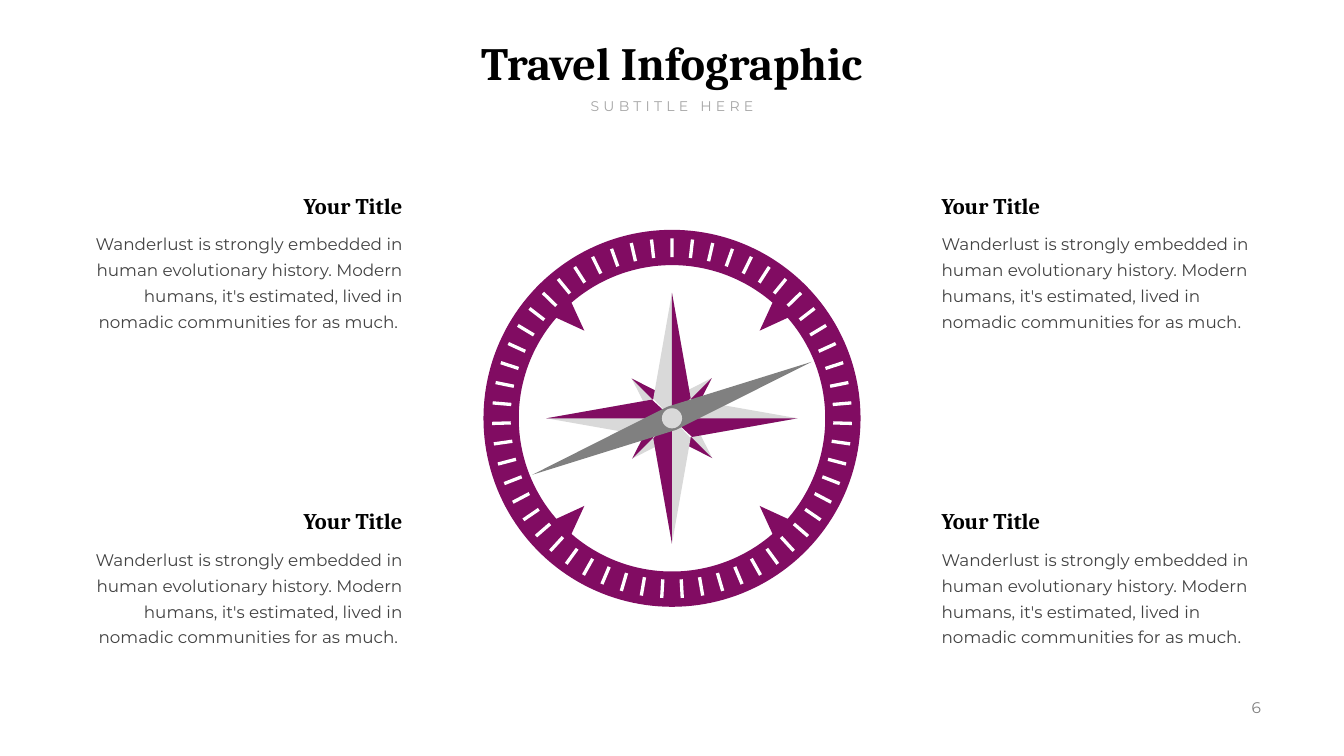
from math import cos, radians, sin

from pptx import Presentation
from pptx.dml.color import RGBColor
from pptx.enum.shapes import MSO_SHAPE
from pptx.enum.text import MSO_ANCHOR, MSO_AUTO_SIZE, PP_ALIGN
from pptx.util import Pt

SCALE = 9144
OVAL = MSO_SHAPE.OVAL
TOP, MIDDLE = MSO_ANCHOR.TOP, MSO_ANCHOR.MIDDLE
LEFT, CENTER, RIGHT = PP_ALIGN.LEFT, PP_ALIGN.CENTER, PP_ALIGN.RIGHT
FIXED_SIZE = MSO_AUTO_SIZE.NONE

PURPLE, SILVER, GRAY = "810C62", "D9D9D9", "808080"
WHITE, BLACK, BODY_GRAY, SUBTITLE_GRAY = "FFFFFF", "000000", "424242", "A6A6A6"
HEADING_FONT, BODY_FONT = "Cambria", "Montserrat"

CENTER_X, CENTER_Y = 1333, 830
RING_OUTER, RING_INNER, POINTER_TIP = 374, 304, 246
TICK_COUNT, TICK_INNER, TICK_OUTER, TICK_HALF_WIDTH = 55, 320, 357, 3.3
QUARTERS = (0, 90, 180, 270)

HEADING = "Your Title"
DESCRIPTION = (
    "Wanderlust is strongly embedded in human evolutionary history. "
    "Modern humans, it's estimated, lived in nomadic communities for as much. "
)


def px(length):
    return round(length * SCALE)


def color(hex_value):
    return RGBColor.from_string(hex_value)


def polar(radius, angle):
    return radius * cos(radians(angle)), radius * sin(radians(angle))


def rotate(points, angle):
    c, s = cos(radians(angle)), sin(radians(angle))
    return [(x * c - y * s, x * s + y * c) for x, y in points]


class CompassSlide:
    def __init__(self, presentation):
        self.slide = presentation.slides.add_slide(presentation.slide_layouts[0])
        self.shapes = self.slide.shapes

    def paint(self, shape, fill):
        shape.shadow.inherit = False
        shape.fill.solid()
        shape.fill.fore_color.rgb = color(fill)
        shape.line.fill.background()

    def outline(self, contours, fill):
        placed = [
            [(px(CENTER_X + x), px(CENTER_Y + y)) for x, y in contour]
            for contour in contours
        ]
        builder = self.shapes.build_freeform(*placed[0][0])
        for index, contour in enumerate(placed):
            if index:
                builder.move_to(*contour[0])
            builder.add_line_segments(contour[1:], close=True)
        self.paint(builder.convert_to_shape(), fill)

    def disc(self, radius, fill):
        hub = self.shapes.add_shape(
            OVAL, px(CENTER_X - radius), px(CENTER_Y - radius), px(2 * radius), px(2 * radius)
        )
        self.paint(hub, fill)

    def set_words(self, shape, words, size, font, ink, align, anchor=TOP,
                  bold=False, leading=None, tracking=None):
        frame = shape.text_frame
        frame.text = words
        frame.word_wrap = True
        frame.auto_size = FIXED_SIZE
        frame.vertical_anchor = anchor
        paragraph = frame.paragraphs[0]
        paragraph.alignment = align
        paragraph.space_before = Pt(0)
        if leading:
            paragraph.line_spacing = Pt(leading)
        run = paragraph.runs[0]
        run.font.size = Pt(size)
        run.font.name = font
        run.font.bold = bold
        run.font.color.rgb = color(ink)
        if tracking:
            run._r.get_or_add_rPr().set("spc", str(tracking * 100))

    def text(self, box, words, size, font, ink, align, **style):
        shape = self.shapes.add_textbox(*map(px, box))
        self.set_words(shape, words, size, font, ink, align, **style)

    def placeholder(self, index, box, words, size, font, ink, align, **style):
        shape = self.slide.placeholders[index]
        shape.left, shape.top, shape.width, shape.height = map(px, box)
        self.set_words(shape, words, size, font, ink, align, **style)


def draw_compass(page):
    rim = [polar(RING_OUTER, angle) for angle in range(0, 360, 2)]
    opening = []
    for quarter in QUARTERS:
        opening.append(polar(POINTER_TIP, quarter + 45))
        opening += [polar(RING_INNER, quarter + step) for step in range(49, 132, 2)]
    page.outline([rim, opening], PURPLE)

    tick = [
        (-TICK_HALF_WIDTH, -TICK_OUTER), (TICK_HALF_WIDTH, -TICK_OUTER),
        (TICK_HALF_WIDTH, -TICK_INNER), (-TICK_HALF_WIDTH, -TICK_INNER),
    ]
    page.outline([rotate(tick, i * 360 / TICK_COUNT) for i in range(TICK_COUNT)], WHITE)

    star_points = (
        ([(-80, -79), (-25, -51), (-52, -24)], [(-80, -79), (-38, -37), (-25, -51)]),
        ([(0, -249), (37, -40), (0, 0), (-37, -39)], [(0, -249), (0, 0), (37, -40)]),
    )
    for light_side, dark_side in star_points:
        for quarter in QUARTERS:
            page.outline([rotate(light_side, quarter)], SILVER)
            page.outline([rotate(dark_side, quarter)], PURPLE)

    needle = [(-9, -23), (-277, 112), (8, 23), (10, 22), (277, -112)]
    page.outline([needle], GRAY)
    page.disc(20, SILVER)


def main():
    presentation = Presentation()
    presentation.slide_width, presentation.slide_height = px(2666), px(1500)
    page = CompassSlide(presentation)
    page.placeholder(0, (909, 63, 847, 121), "Travel Infographic", 66,
                     HEADING_FONT, BLACK, CENTER, bold=True)
    page.placeholder(1, (1155, 188, 356, 44), "SUBTITLE HERE", 20,
                     BODY_FONT, SUBTITLE_GRAY, CENTER, tracking=6)
    draw_compass(page)

    for heading_left, body_left, align in ((1858, 1858, LEFT), (573, 164, RIGHT)):
        for top in (375, 1001):
            page.text((heading_left, top, 235, 64), HEADING, 32,
                      HEADING_FONT, BLACK, align, anchor=MIDDLE, bold=True)
            page.text((body_left, top + 73, 644, 213), DESCRIPTION, 24,
                      BODY_FONT, BODY_GRAY, align, leading=37)

    page.text((2451, 1380, 60, 47), "6", 22, BODY_FONT, GRAY, RIGHT, anchor=MIDDLE)
    presentation.save("out.pptx")


if __name__ == "__main__":
    main()
